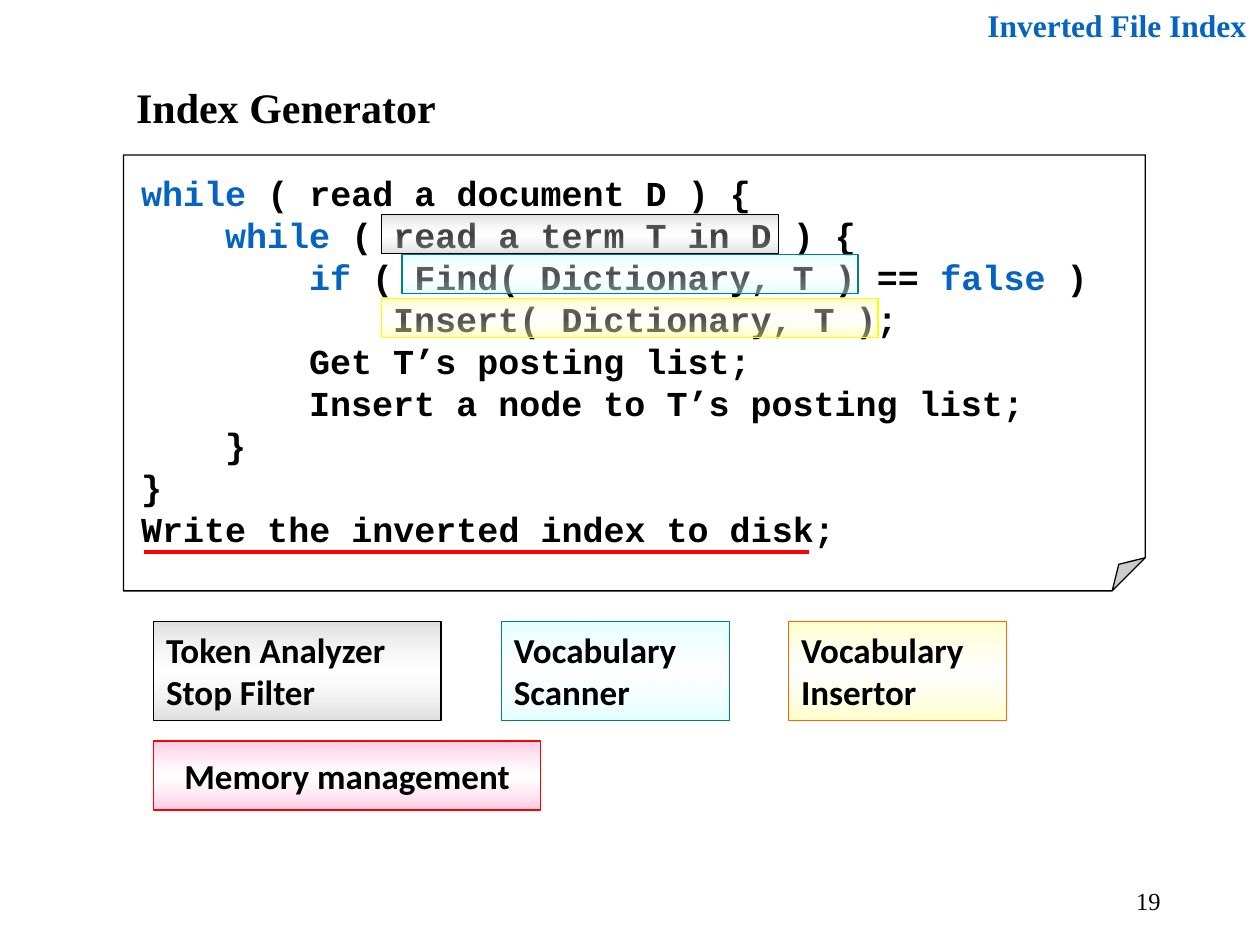
from lxml.etree import SubElement
from pptx import Presentation
from pptx.dml.color import RGBColor
from pptx.enum.shapes import MSO_CONNECTOR, MSO_SHAPE
from pptx.enum.text import MSO_ANCHOR, PP_ALIGN
from pptx.oxml.ns import qn
from pptx.util import Inches, Pt

COLORS = {
    "black": "000000", "white": "FFFFFF", "keyword": "0563C1", "red": "FF0000",
    "silver": "C0C0C0", "cyan": "CCFFFF", "teal": "008080", "cream": "FFFF99",
    "yellow": "FFFF00", "orange": "FF6600", "pink": "FF99CC",
}
INDENT = 4 * 0.6 * 20 / 72
KEYWORDS = ("while", "if", "false")
CODE = [
    (0, "while ( read a document D ) {"),
    (1, "while ( read a term T in D ) {"),
    (2, "if ( Find( Dictionary, T ) == false )"),
    (3, "Insert( Dictionary, T );"),
    (2, "Get T’s posting list;"),
    (2, "Insert a node to T’s posting list;"),
    (1, "}"),
    (0, "}"),
    (0, "Write the inverted index to disk;"),
]


def rgb(name):
    """Return the named palette colour."""
    return RGBColor.from_string(COLORS[name])


def style_run(run, font, size, color="black", bold=True):
    """Set the font of one run."""
    run.font.name, run.font.size, run.font.bold = font, Pt(size), bold
    run.font.color.rgb = rgb(color)


def write_text(shape, text, font, size, color="black", bold=True,
               align=PP_ALIGN.LEFT, anchor=MSO_ANCHOR.MIDDLE):
    """Fill a shape with uniformly formatted text."""
    frame = shape.text_frame
    frame.text = text
    frame.word_wrap = True
    frame.vertical_anchor = anchor
    for paragraph in frame.paragraphs:
        paragraph.alignment = align
        for run in paragraph.runs:
            style_run(run, font, size, color, bold)


def place_title(slide, text, left, top, width, height):
    """Move and format the title placeholder."""
    title = slide.shapes.title
    title.left, title.top = Inches(left), Inches(top)
    title.width, title.height = Inches(width), Inches(height)
    write_text(title, text, "Times New Roman", 24, anchor=MSO_ANCHOR.TOP)


def add_corner_text(slide, text, left, top, width, height, **style):
    """Add a right-aligned text box near the slide edge."""
    box = slide.shapes.add_textbox(
        Inches(left), Inches(top), Inches(width), Inches(height))
    write_text(box, text, "Times New Roman", align=PP_ALIGN.RIGHT, **style)


def add_outlined(slide, preset, left, top, width, height, line):
    """Add a shadowless shape with a thin outline."""
    shape = slide.shapes.add_shape(
        preset, Inches(left), Inches(top), Inches(width), Inches(height))
    shape.shadow.inherit = False
    shape.line.color.rgb = rgb(line)
    shape.line.width = Pt(0.75)
    return shape


def fill_sheen(shape, edge, center_opacity):
    """Apply a translucent vertical gradient that is white in the middle."""
    shape.fill.gradient()
    shape.fill.gradient_angle = 270
    stops = shape._element.spPr.find(qn("a:gradFill")).find(qn("a:gsLst"))
    for stop in list(stops):
        stops.remove(stop)
    for position, name, opacity in (
            (0, edge, 53), (50, "white", center_opacity), (100, edge, 53)):
        stop = SubElement(stops, qn("a:gs"), pos=str(position * 1000))
        color = SubElement(stop, qn("a:srgbClr"), val=COLORS[name])
        SubElement(color, qn("a:alpha"), val=str(opacity * 1000))


def add_marker(slide, left, top, width, height, edge, opacity, line,
               label="", align=PP_ALIGN.LEFT):
    """Add a translucent box, with a label if one is given."""
    marker = add_outlined(
        slide, MSO_SHAPE.RECTANGLE, left, top, width, height, line)
    fill_sheen(marker, edge, opacity)
    if label:
        write_text(marker, label, "Calibri", 20, align=align)


def add_code_page(slide, left, top, width, height):
    """Add the folded page that holds the highlighted pseudocode."""
    page = add_outlined(
        slide, MSO_SHAPE.FOLDED_CORNER, left, top, width, height, "black")
    geometry = page._element.spPr.find(qn("a:prstGeom"))
    SubElement(geometry.get_or_add_avLst(), qn("a:gd"),
               name="adj", fmla="val 7600")
    page.fill.solid()
    page.fill.fore_color.rgb = rgb("white")
    frame = page.text_frame
    frame.word_wrap = True
    frame.vertical_anchor = MSO_ANCHOR.TOP
    frame.margin_left = frame.margin_right = Inches(0.14)
    frame.margin_top, frame.margin_bottom = Inches(0.13), Inches(0.09)
    frame.text = "\n".join(code for _, code in CODE)
    for paragraph, (level, code) in zip(frame.paragraphs, CODE):
        paragraph.alignment = PP_ALIGN.LEFT
        paragraph._p.get_or_add_pPr().set("marL", str(Inches(level * INDENT)))
        paragraph.clear()
        for index, word in enumerate(code.split(" ")):
            run = paragraph.add_run()
            run.text = f" {word}" if index else word
            style_run(run, "Courier New", 20,
                      "keyword" if word in KEYWORDS else "black")


def add_underline(slide, left, right, height):
    """Underline the final step of the pseudocode."""
    underline = slide.shapes.add_connector(
        MSO_CONNECTOR.STRAIGHT, Inches(left), Inches(height),
        Inches(right), Inches(height))
    underline.line.color.rgb = rgb("red")
    underline.line.width = Pt(2)
    SubElement(underline._element.spPr, qn("a:effectLst"))


def main():
    """Build the index generator slide."""
    deck = Presentation()
    deck.slide_width, deck.slide_height = Inches(10), Inches(7.5)
    slide = deck.slides.add_slide(deck.slide_layouts[5])

    add_corner_text(slide, "19", 7.06, 6.95, 2.25, 0.4, size=14, bold=False)
    add_corner_text(slide, "Inverted File Index", 7.52, 0, 2.47, 0.4,
                    size=18, color="keyword", anchor=MSO_ANCHOR.TOP)
    place_title(slide, "Index Generator", 0.98, 0.6, 3.31, 0.5)
    add_code_page(slide, 0.98, 1.23, 8.11, 3.46)

    modules = [
        ("silver", 24, "black", (3.03, 1.7, 3.15),
         "black", (1.22, 2.28), "Token Analyzer\nStop Filter"),
        ("cyan", 30, "teal", (3.19, 2.02, 3.62),
         "teal", (3.98, 1.81), "Vocabulary Scanner"),
        ("cream", 30, "yellow", (3.03, 2.37, 3.94),
         "orange", (6.26, 1.73), "Vocabulary Insertor"),
    ]
    for edge, opacity, code_line, code_spot, line, (left, width), label in modules:
        add_marker(slide, *code_spot, 0.31, edge, opacity, code_line)
        add_marker(slide, left, 4.93, width, 0.79, edge, opacity, line, label)

    add_underline(slide, 1.14, 6.42, 4.38)
    add_marker(slide, 1.22, 5.88, 3.07, 0.55, "pink", 29, "red",
               "Memory management", PP_ALIGN.CENTER)
    deck.save("out.pptx")


if __name__ == "__main__":
    main()
